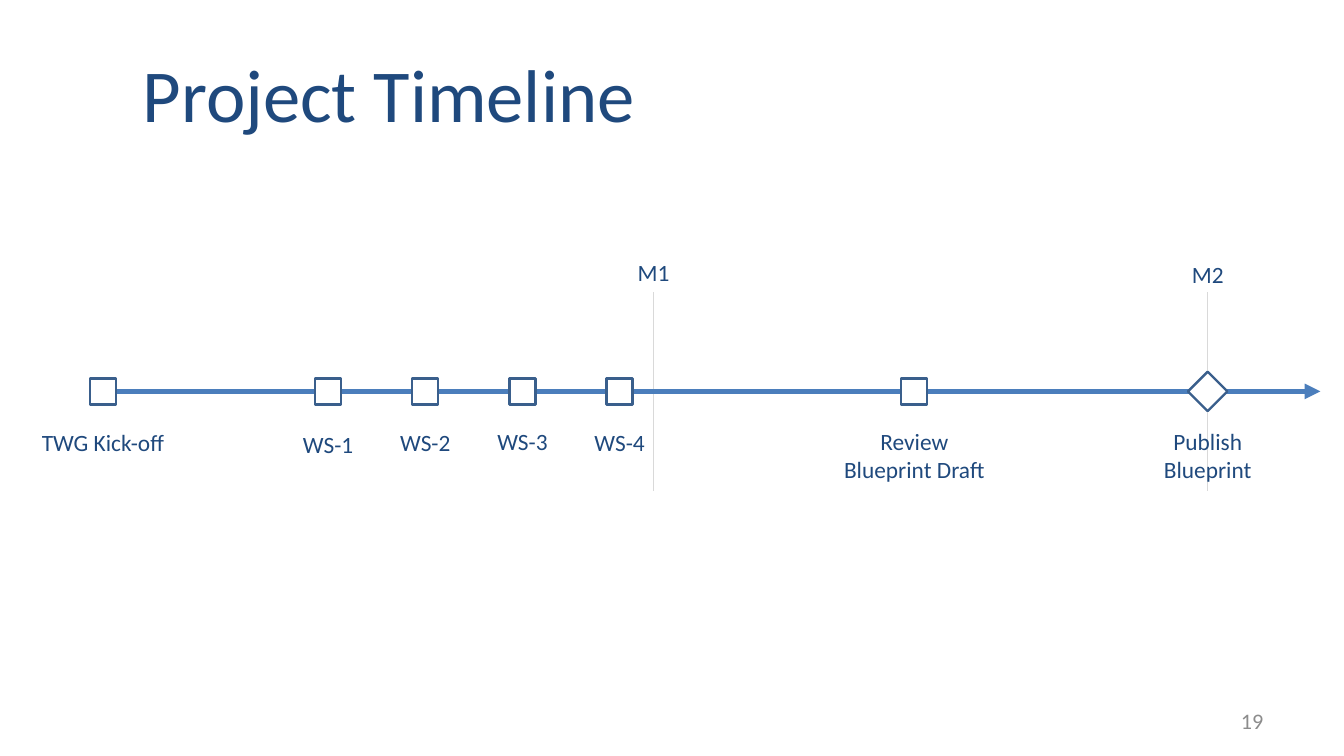
from lxml.etree import SubElement
from pptx import Presentation
from pptx.dml.color import RGBColor
from pptx.enum.shapes import MSO_CONNECTOR as Connector, MSO_SHAPE as Shape
from pptx.enum.text import MSO_ANCHOR as Anchor, PP_ALIGN as Align
from pptx.oxml.ns import qn
from pptx.util import Pt

NAVY = "1F497D"
AXIS_Y = 335.5
M1_X, M2_X = 560.2, 1035.2

presentation = Presentation()
presentation.slide_width = Pt(1152)
presentation.slide_height = Pt(648)
slide = presentation.slides.add_slide(presentation.slide_layouts[6])


def color(value):
    return RGBColor.from_string(value)


def add_text(lines, left, top, width, height, size=20, ink=NAVY,
             align=Align.CENTER, anchor=Anchor.TOP, inset=(7.2, 3.6), wrap=False):
    box = slide.shapes.add_textbox(Pt(left), Pt(top), Pt(width), Pt(height))
    frame = box.text_frame
    frame.word_wrap = wrap
    frame.vertical_anchor = anchor
    frame.margin_left = frame.margin_right = Pt(inset[0])
    frame.margin_top = frame.margin_bottom = Pt(inset[1])
    frame.text = lines
    for paragraph in frame.paragraphs:
        paragraph.alignment = align
        paragraph.font.name = "Calibri"
        paragraph.font.size = Pt(size)
        paragraph.font.color.rgb = color(ink)


add_text("Project Timeline", 110.9, 25.2, 983.5, 108, 64, align=Align.LEFT,
         anchor=Anchor.MIDDLE, inset=(11.5, 5.8), wrap=True)
add_text("19", 825.8, 600.5, 268.6, 34.6, 19, "8C8C8C", Align.RIGHT,
         Anchor.MIDDLE, (11.5, 5.8), True)

for start_x, start_y, end_x, end_y, ink, weight in [
    (M1_X, 250.6, M1_X, 420.5, "D9D9D9", 0.75),
    (M2_X, 250.6, M2_X, 420.5, "D9D9D9", 0.75),
    (88.2, AXIS_Y, 1131.8, AXIS_Y, "4B7EBC", 4.5),
]:
    line = slide.shapes.add_connector(
        Connector.STRAIGHT, Pt(start_x), Pt(start_y), Pt(end_x), Pt(end_y))
    line.line.color.rgb = color(ink)
    line.line.width = Pt(weight)
    SubElement(line._element.spPr, qn("a:effectLst"))
SubElement(line.line._get_or_add_ln(), qn("a:tailEnd"), type="triangle")

events = [("TWG Kick-off", 88.2, 363.6, 121, Shape.RECTANGLE, 22.3)]
for number, top in enumerate([365, 363.6, 362.9, 363.6]):
    events.append((f"WS-{number + 1}", 281.2 + 83.3 * number, top, 58.3,
                   Shape.RECTANGLE, 22.3))
events += [
    ("Review\nBlueprint Draft", 783.7, 362.9, 136.8, Shape.RECTANGLE, 22.3),
    ("Publish\nBlueprint", M2_X, 362.9, 90.7, Shape.DIAMOND, 33.8),
]
for label, center, top, width, kind, size in events:
    marker = slide.shapes.add_shape(
        kind, Pt(center - size / 2), Pt(AXIS_Y - size / 2), Pt(size), Pt(size))
    marker.shadow.inherit = False
    marker.fill.solid()
    marker.fill.fore_color.rgb = color("FFFFFF")
    marker.line.color.rgb = color("3A5F8C")
    marker.line.width = Pt(2)
    add_text(label, center - width / 2, top, width, 55.4 if "\n" in label else 31.7)

for label, center, top in [("M1", M1_X, 217.4), ("M2", M2_X, 219.6)]:
    add_text(label, center - 20.9, top, 41.8, 31.7)

presentation.save("out.pptx")
